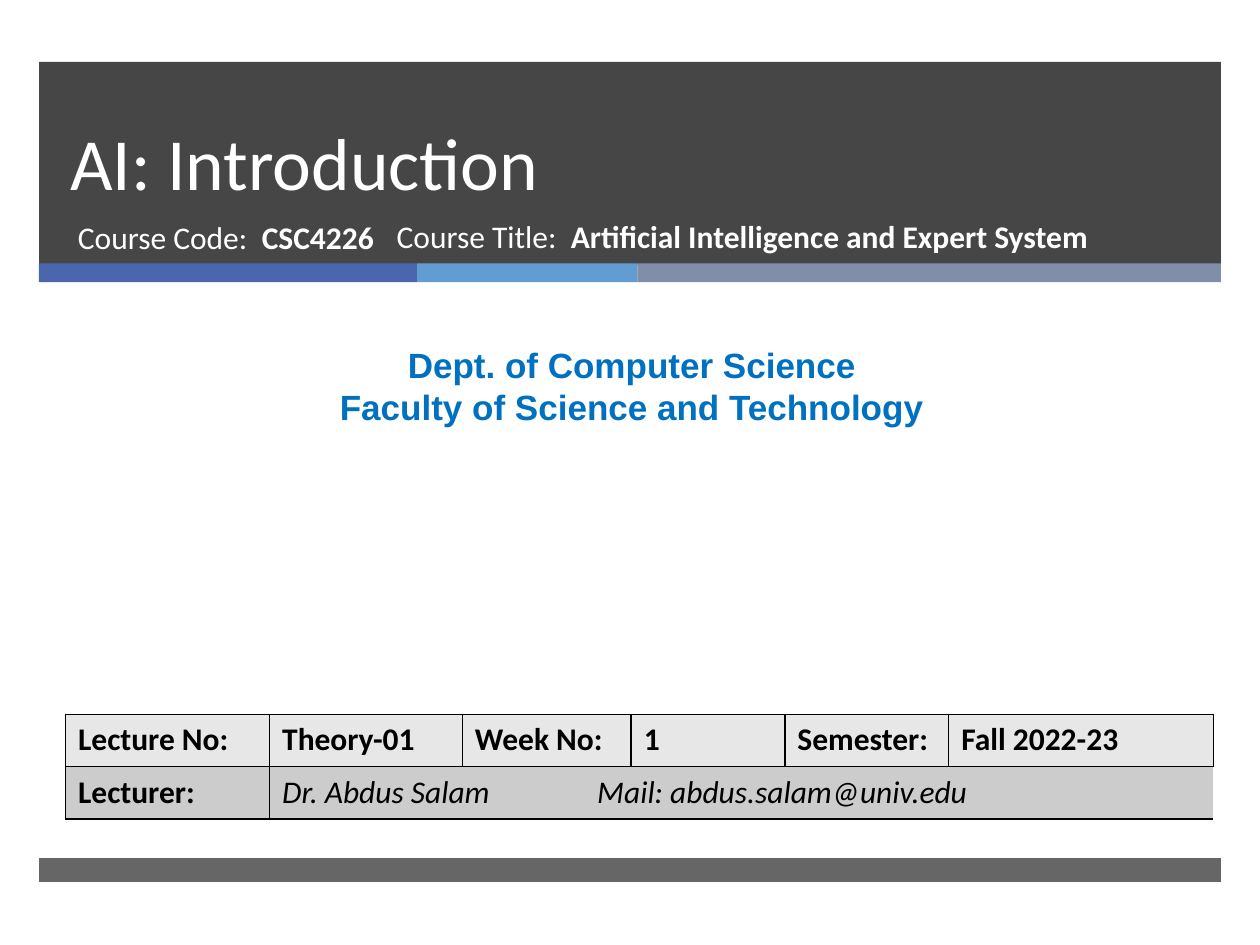
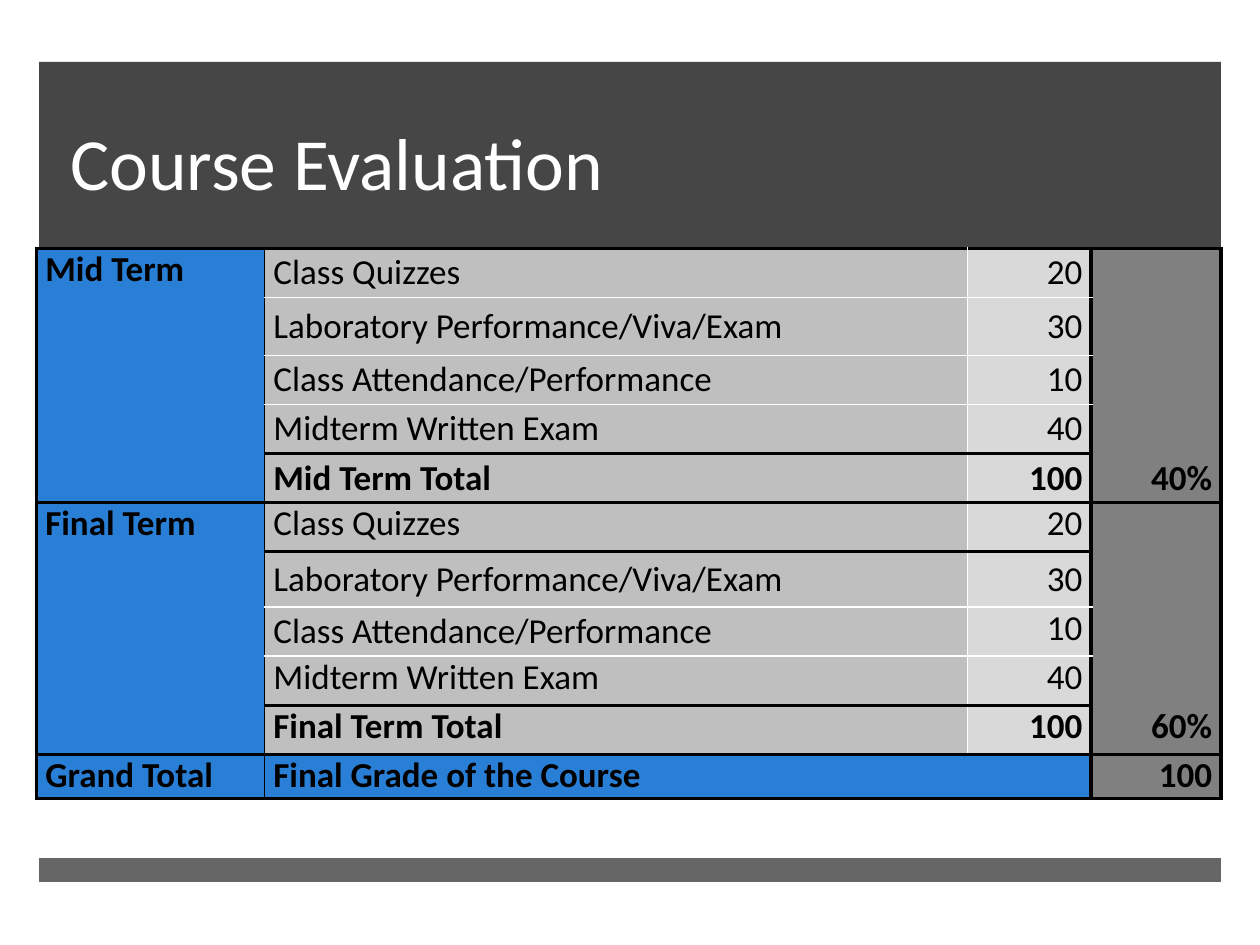
from lxml import etree
from pptx import Presentation
from pptx.dml.color import RGBColor
from pptx.enum import shapes, text
from pptx.oxml import ns
from pptx.util import Inches, Pt

WHITE = RGBColor(0xFF, 0xFF, 0xFF)
BLACK = RGBColor(0, 0, 0)
CHARCOAL = RGBColor(0x26, 0x26, 0x26)
INDIGO = RGBColor(0x4A, 0x66, 0xAC)
SKY = RGBColor(0x62, 0x9D, 0xD1)
SLATE = RGBColor(0x7F, 0x8F, 0xA9)
DEPARTMENT_BLUE = RGBColor(0x00, 0x70, 0xC0)
TERM_BLUE = RGBColor(0x29, 0x7F, 0xD5)
LECTURE_GRAY = RGBColor(0xE7, 0xE7, 0xE7)
LECTURER_GRAY = RGBColor(0xCC, 0xCC, 0xCC)
ITEM_GRAY = RGBColor(0xBF, 0xBF, 0xBF)
MARK_GRAY = RGBColor(0xD9, 0xD9, 0xD9)
SHARE_GRAY = RGBColor(0x80, 0x80, 0x80)

THICK = (BLACK, 2.25)
THIN = (BLACK, 1)
PALE = (WHITE, 1)


def write(paragraph, wording, size, color, bold=False, italic=False, font="Calibri"):
    run = paragraph.add_run()
    run.text = wording
    run.font.name = font
    run.font.size = Pt(size)
    run.font.color.rgb = color
    run.font.bold = bold
    run.font.italic = italic


def paint_cell(cell, fill, left, right, top, bottom):
    properties = cell._tc.get_or_add_tcPr()
    for side, edge in zip("LRTB", (left, right, top, bottom)):
        line = etree.SubElement(properties, ns.qn(f"a:ln{side}"))
        if edge is None:
            etree.SubElement(line, ns.qn("a:noFill"))
        else:
            color, width = edge
            line.set("w", str(Pt(width)))
            solid = etree.SubElement(line, ns.qn("a:solidFill"))
            etree.SubElement(solid, ns.qn("a:srgbClr")).set("val", str(color))
    cell.fill.solid()
    cell.fill.fore_color.rgb = fill


deck = Presentation()
deck.slide_width = Inches(10)
deck.slide_height = Inches(7.5)

bands = [
    (0.31, 0.49, 9.38, 1.61, CHARCOAL, 85),
    (0.31, 2.09, 3, 0.15, INDIGO, 100),
    (3.31, 2.09, 1.75, 0.15, SKY, 100),
    (5.06, 2.09, 4.63, 0.15, SLATE, 100),
    (0.31, 6.81, 9.38, 0.19, CHARCOAL, 70),
]
slides = []
for title in ("AI: Introduction", "Course Evaluation"):
    slide = deck.slides.add_slide(deck.slide_layouts[6])
    for left, top, width, height, color, opacity in bands:
        band = slide.shapes.add_shape(
            shapes.MSO_SHAPE.RECTANGLE, Inches(left), Inches(top), Inches(width), Inches(height)
        )
        band.shadow.inherit = False
        band.line.fill.background()
        band.fill.solid()
        band.fill.fore_color.rgb = color
        if opacity < 100:
            tint = band.element.spPr.find(".//" + ns.qn("a:srgbClr"))
            etree.SubElement(tint, ns.qn("a:alpha")).set("val", str(opacity * 1000))
    heading = slide.shapes.add_textbox(Inches(0.46), Inches(0.49), Inches(8.54), Inches(1.19)).text_frame
    heading.word_wrap = True
    heading.vertical_anchor = text.MSO_ANCHOR.BOTTOM
    heading.paragraphs[0].line_spacing = Pt(46)
    write(heading.paragraphs[0], title, 42, WHITE)
    slides.append(slide)
introduction, evaluation = slides

course_facts = [
    (0.52, 1.68, 3.05, "Course Code:  ", "CSC4226"),
    (3.05, 1.67, 5.72, "Course Title:  ", "Artificial Intelligence and Expert System"),
]
for left, top, width, label, value in course_facts:
    fact = introduction.shapes.add_textbox(Inches(left), Inches(top), Inches(width), Inches(0.53)).text_frame
    fact.word_wrap = True
    write(fact.paragraphs[0], label, 18, WHITE)
    write(fact.paragraphs[0], value, 18, WHITE, bold=True)

department = introduction.shapes.add_textbox(Inches(0.08), Inches(2.68), Inches(9.87), Inches(0.77)).text_frame
department.word_wrap = True
faculty_line = department.add_paragraph()
for paragraph, wording in (
    (department.paragraphs[0], "Dept. of Computer Science"),
    (faculty_line, "Faculty of Science and Technology"),
):
    paragraph.alignment = text.PP_ALIGN.CENTER
    write(paragraph, wording, 20, DEPARTMENT_BLUE, bold=True, font="Arial")

lecture_rows = [
    ["Lecture No:", "Theory-01", "Week No:", "1", "Semester:", "Fall 2022-23"],
    ["Lecturer:", "Dr. Abdus Salam\t\tMail: abdus.salam@univ.edu", "", "", "", ""],
]
lecture = introduction.shapes.add_table(
    2, 6, Inches(0.52), Inches(5.67), Inches(9.12), Inches(0.83)
).table
lecture.first_row = lecture.horz_banding = False
for column, width in zip(lecture.columns, (1.62, 1.53, 1.34, 1.22, 1.3, 2.1)):
    column.width = Inches(width)
for r, (wordings, fill) in enumerate(zip(lecture_rows, (LECTURE_GRAY, LECTURER_GRAY))):
    for c, wording in enumerate(wordings):
        cell = lecture.cell(r, c)
        inner = r == 1 and c > 1
        paint_cell(cell, fill, None if inner else THIN, None if r == 1 and 0 < c < 5 else THIN, THIN, THIN)
        if wording:
            is_contact = r == 1 and c == 1
            write(cell.text_frame.paragraphs[0], wording, 18, BLACK, not is_contact, is_contact)
lecture.cell(1, 1).merge(lecture.cell(1, 5))

coursework = [
    ("Class Quizzes", "20"),
    ("Laboratory Performance/Viva/Exam", "30"),
    ("Class Attendance/Performance", "10"),
    ("Midterm Written Exam", "40"),
]
grade_rows = []
for term, share in (("Mid Term", "40%"), ("Final Term", "60%")):
    for i, (item, mark) in enumerate(coursework):
        grade_rows.append((term if i == 0 else "", item, mark, ""))
    grade_rows.append(("", f"{term} Total", "100", share))
grade_rows.append(("Grand Total", "Final Grade of the Course", "", "100"))
last_row = len(grade_rows) - 1

row_heights = [0.39] * len(grade_rows)
row_heights[1], row_heights[6], row_heights[last_row] = 0.46, 0.44, 0.35
term_edges = {0, 5, 10, 11}
item_edges = term_edges | {4, 6, 9}
total_rows = {4, 9, last_row}
centred_cells = {(r, c) for r in (0, 1, 2, 3, 4, 6) for c in (1, 2, 3)} | {(7, 1)}

grades = evaluation.shapes.add_table(
    len(grade_rows), 4, Inches(0.29), Inches(1.97), Inches(9.4), Inches(4.35)
).table
grades.first_row = grades.horz_banding = False
for column, width in zip(grades.columns, (1.81, 5.58, 0.98, 1.03)):
    column.width = Inches(width)
for r, (wordings, height) in enumerate(zip(grade_rows, row_heights)):
    grades.rows[r].height = Inches(height)
    is_grand = r == last_row
    fills = (TERM_BLUE, TERM_BLUE if is_grand else ITEM_GRAY, TERM_BLUE if is_grand else MARK_GRAY, SHARE_GRAY)
    uprights = (THICK, THIN, None if is_grand else PALE, THICK, THICK)
    for c, (wording, fill) in enumerate(zip(wordings, fills)):
        cell = grades.cell(r, c)
        black_edges, other = (item_edges, PALE) if c in (1, 2) else (term_edges, None)
        top, bottom = (THICK if edge in black_edges else other for edge in (r, r + 1))
        paint_cell(cell, fill, uprights[c], uprights[c + 1], top, bottom)
        cell.margin_left = cell.margin_right = Inches(0.07)
        cell.margin_top = cell.margin_bottom = 0
        if (r, c) in centred_cells:
            cell.vertical_anchor = text.MSO_ANCHOR.MIDDLE
        paragraph = cell.text_frame.paragraphs[0]
        if c > 1:
            paragraph.alignment = text.PP_ALIGN.RIGHT
        if wording:
            write(paragraph, wording, 20, BLACK, bold=c == 0 or r in total_rows)
grades.cell(last_row, 1).merge(grades.cell(last_row, 2))

deck.save("out.pptx")
